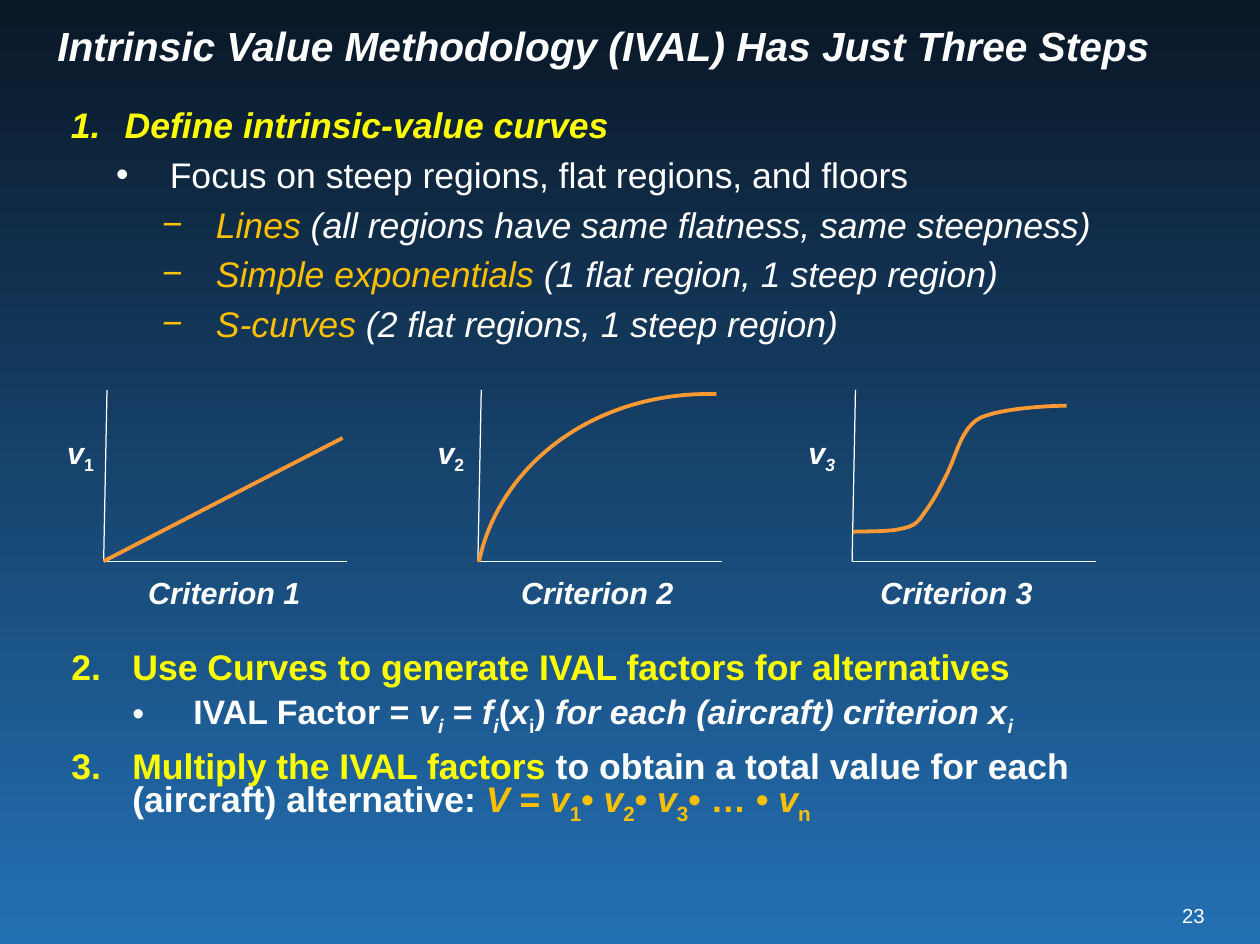
from lxml import etree
from pptx import Presentation
from pptx.dml.color import RGBColor
from pptx.enum.shapes import MSO_CONNECTOR, MSO_SHAPE
from pptx.enum.text import MSO_ANCHOR, PP_ALIGN
from pptx.oxml.ns import qn
from pptx.util import Cm, Pt

WHITE, YELLOW, GOLD, ORANGE = "FFFFFF", "FFFF00", "FFC000", "FF9933"


def write(p, text, size=21, color=WHITE, bold=True, italic=False, sub=False):
    r = p.add_run()
    r.text = text
    f = r.font
    f.name, f.size, f.bold, f.italic = "Arial", Pt(size), bold, italic
    f.color.rgb = RGBColor.from_string(color)
    if sub:
        r._r.get_or_add_rPr().set("baseline", "-25000")


def add_box(x, y, w, h, wrap=True):
    tf = s.shapes.add_textbox(Cm(x), Cm(y), Cm(w), Cm(h)).text_frame
    tf.word_wrap = wrap
    return tf


prs = Presentation()
prs.slide_width, prs.slide_height = Cm(26.26), Cm(19.68)
s = prs.slides.add_slide(prs.slide_layouts[5])

# Background
fill = s.background.fill
fill.gradient()
fill.gradient_angle = 270
for stop, color in zip(fill.gradient_stops, ("0A1726", "2370B4")):
    stop.color.rgb = RGBColor.from_string(color)

# Title
title = s.shapes.title
title.left, title.top, title.width, title.height = Cm(0.94), Cm(-0.37), Cm(23.42), Cm(2.74)
tf = title.text_frame
tf.word_wrap = True
tf.vertical_anchor = MSO_ANCHOR.MIDDLE
p = tf.paragraphs[0]
p.alignment, p.line_spacing = PP_ALIGN.LEFT, Pt(26)
write(p, "Intrinsic Value Methodology (IVAL) Has Just Three Steps", size=24, italic=True)

# Steps: (level, left margin, bullet or first number, runs)
plain = dict(bold=False)
slanted = dict(bold=False, italic=True)
term = dict(slanted, color=GOLD)
formula = dict(size=20)
var, index = dict(formula, italic=True), dict(formula, sub=True)
var_index = dict(var, sub=True)
total, total_var = dict(color=GOLD), dict(color=GOLD, italic=True)
total_index = dict(color=GOLD, sub=True)

step_1 = [
    (0, 1.12, 1, [("Define intrinsic-value curves", dict(color=YELLOW, italic=True))]),
    (1, 2.06, "•", [("Focus on steep regions, flat regions, and floors", plain)]),
    (2, 3.02, "−", [("Lines", term),
                    (" (all regions have same flatness, same steepness)", slanted)]),
    (2, 3.02, "−", [("Simple exponentials", term),
                    (" (1 flat region, 1 steep region)", slanted)]),
    (2, 3.02, "−", [("S-curves", term), (" (2 flat regions, 1 steep region)", slanted)]),
]
product = [("V", total_var), (" =", total), (" v", total_var), ("1", total_index)]
for dots, i in (("• ", "2"), ("• ", "3"), ("• … • ", "n")):
    product += [(dots, total), ("v", total_var), (i, total_index)]
steps_2_3 = [
    (1, 2.24, 2, [("Use Curves to generate IVAL factors for alternatives", dict(color=YELLOW))]),
    (2, 3.51, "•", [("IVAL Factor = ", formula), ("v", var), ("i", var_index),
                    (" = ", formula), ("f", var), ("i", var_index),
                    ("(", formula), ("x", var), ("i", index), (")", formula),
                    (" for each (aircraft) criterion x", var), ("i", var_index)]),
    (1, 2.24, 2, [("Multiply the IVAL factors", dict(color=YELLOW)),
                  (" to obtain a total value for each (aircraft) alternative: ", {})] + product),
]

for place, hang, steps in (((1.23, 2.11, 23.11, 5.66), 1.12, step_1),
                           ((0.27, 13.4, 22.81, 4.06), 1.27, steps_2_3)):
    tf = add_box(*place)
    for n, (level, margin, bullet, runs) in enumerate(steps):
        p = tf.add_paragraph() if n else tf.paragraphs[0]
        pPr = p._p.get_or_add_pPr()
        pPr.set("marL", str(Cm(margin)))
        pPr.set("indent", str(-Cm(hang)))
        if isinstance(bullet, int):
            number = etree.SubElement(pPr, qn("a:buAutoNum"), type="arabicPeriod")
            if bullet > 1:
                number.set("startAt", str(bullet))
        else:
            etree.SubElement(pPr, qn("a:buFont"), typeface="Arial")
            etree.SubElement(pPr, qn("a:buChar"), char=bullet)
        p.level, p.line_spacing = level, Pt(23)
        if n:
            p.space_before = Pt(6.3)
        for text, fmt in runs:
            write(p, text, **fmt)

# Graph labels and straight lines
base, top = 11.7, 8.13
segments = []
for n, (label_x, name_x) in enumerate(((1.15, 2.84), (8.87, 10.61), (16.6, 18.1)), 1):
    x0 = 2.16 + 7.8 * (n - 1)
    segments += [(x0 + 0.07, top, x0, base, WHITE, 0.75),
                 (x0, base, x0 + 5.08, base, WHITE, 0.75)]
    p = add_box(label_x, 8.92, 1.19, 1.02).paragraphs[0]
    write(p, "v", size=18, italic=True)
    write(p, str(n), size=18, italic=n == 3, sub=True)
    p = add_box(name_x, 11.85, 3.81, 1.02).paragraphs[0]
    write(p, f"Criterion {n}", size=18, italic=True)
segments.append((2.16, base, 7.14, 9.13, ORANGE, 2.25))

strokes = []
for x1, y1, x2, y2, color, width in segments:
    line = s.shapes.add_connector(MSO_CONNECTOR.STRAIGHT, Cm(x1), Cm(y1), Cm(x2), Cm(y2))
    strokes.append((line, color, width))

# Exponential curve
arc = s.shapes.add_shape(MSO_SHAPE.ARC, Cm(10.49), Cm(7.62), Cm(9.07), Cm(10.31))
arc.adjustments[0], arc.adjustments[1] = 162, 208.15
arc.rotation = 281.9

# S-curve, sampled from Bezier pieces
start = (17.78, 11.09)
pieces = [
    ((17.86, 11.07), (18.54, 11.1), (18.8, 11.02)),
    ((19.05, 10.97), (19.13, 10.9), (19.28, 10.67)),
    ((19.46, 10.44), (19.69, 10.01), (19.84, 9.65)),
    ((19.99, 9.27), (20.14, 8.76), (20.57, 8.66)),
    ((21.03, 8.51), (21.84, 8.46), (22.23, 8.46)),
]
builder = s.shapes.build_freeform(Cm(start[0]), Cm(start[1]))
points = []
a = start
for b, c, d in pieces:
    for t in (k / 10 for k in range(1, 11)):
        u = 1 - t
        points.append([Cm(u**3 * a[i] + 3 * u * u * t * b[i] + 3 * u * t * t * c[i] + t**3 * d[i])
                       for i in (0, 1)])
    a = d
builder.add_line_segments(points, close=False)
s_curve = builder.convert_to_shape()

for curve in (arc, s_curve):
    curve.fill.background()
    strokes.append((curve, ORANGE, 2.25))

# Line format
for sp, color, width in strokes:
    sp.line.color.rgb = RGBColor.from_string(color)
    sp.line.width = Pt(width)
    etree.SubElement(sp._element.spPr, qn("a:effectLst"))

# Page number
tf = add_box(24.61, 18.84, 0.5, 0.5, wrap=False)
tf.margin_left = tf.margin_right = tf.margin_top = tf.margin_bottom = 0
p = tf.paragraphs[0]
p.alignment = PP_ALIGN.RIGHT
write(p, "23", size=12, bold=False)

prs.save("out.pptx")
